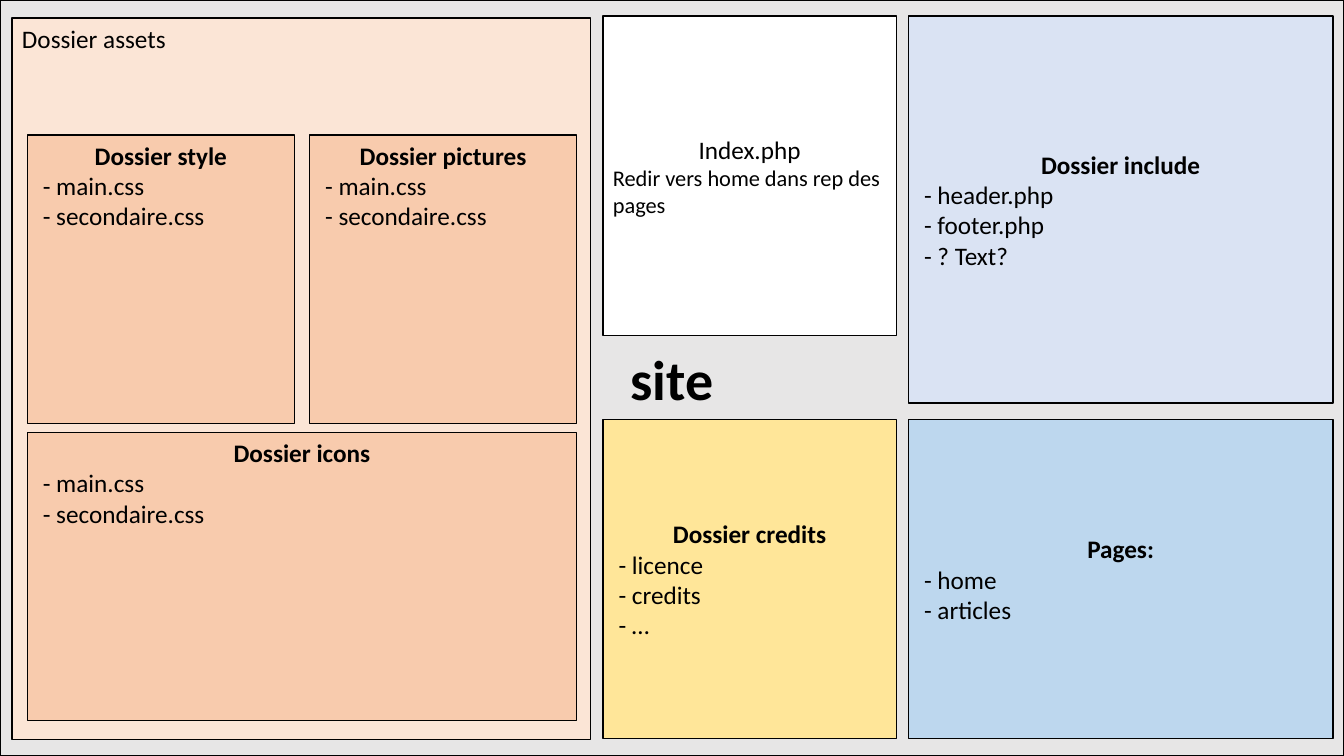
from itertools import accumulate

from pptx import Presentation
from pptx.dml.color import RGBColor
from pptx.enum.shapes import MSO_SHAPE
from pptx.enum.text import MSO_ANCHOR, PP_ALIGN
from pptx.util import Inches, Pt

RECTANGLE = MSO_SHAPE.RECTANGLE
TOP, MIDDLE = MSO_ANCHOR.TOP, MSO_ANCHOR.MIDDLE
LEFT, CENTER = PP_ALIGN.LEFT, PP_ALIGN.CENTER

THEME = {
    "font": "Calibri", "ink": "000000", "line": 1,
    "title": 40, "body": 18, "note": 16,
    "site": "E7E6E6", "index": "FFFFFF", "include": "DAE3F3",
    "assets": "FBE5D6", "credits": "FFE699", "pages": "BDD7EE",
    "folder": "F8CBAD",
}

SLIDE_WIDTH, SLIDE_HEIGHT = 13.33, 7.5
STYLESHEETS = ["main.css", "secondaire.css"]

PANELS = [
    {"column": 1, "row": "index", "fill": "index", "heading": "Index.php",
     "bold": False, "note": "Redir vers home dans rep des pages"},
    {"column": 2, "row": "include", "fill": "include", "heading": "Dossier include",
     "items": ["header.php", "footer.php", "? Text?"]},
    {"column": 0, "row": "assets", "fill": "assets", "heading": "Dossier assets",
     "bold": False, "align": LEFT, "anchor": TOP},
    {"column": 1, "row": "bottom", "fill": "credits", "heading": "Dossier credits",
     "items": ["licence", "credits", "…"]},
    {"column": 2, "row": "bottom", "fill": "pages", "heading": "Pages:",
     "items": ["home", "articles"]},
]
FOLDERS = [
    {"column": 0, "row": 0, "span": 1, "heading": "Dossier style"},
    {"column": 1, "row": 0, "span": 1, "heading": "Dossier pictures"},
    {"column": 0, "row": 1, "span": 2, "heading": "Dossier icons"},
]

GUTTER = 0.12
COLUMN_WIDTHS = [5.74, 2.91, 4.21]
COLUMN_LEFTS = list(accumulate(COLUMN_WIDTHS[:-1], lambda left, width: left + width + GUTTER,
                               initial=GUTTER))
ROWS = {"index": (0.16, 3.17), "include": (0.16, 3.84),
        "assets": (0.18, 7.16), "bottom": (4.16, 3.17)}

FOLDER_GAP, FOLDER_WIDTH = 0.15, 2.65
FOLDER_TOP, FOLDER_HEIGHT, FOLDER_ROW_GAP = 1.34, 2.86, 0.09


def write(paragraph, text, size="body", bold=False, align=LEFT):
    paragraph.alignment = align
    run = paragraph.add_run()
    run.text = text
    run.font.name = THEME["font"]
    run.font.size = Pt(THEME[size])
    run.font.bold = bold
    run.font.color.rgb = RGBColor.from_string(THEME["ink"])


def add_box(slide, left, top, width, height, fill, heading, size="body", bold=True,
            align=CENTER, anchor=MIDDLE, items=(), note=None):
    shape = slide.shapes.add_shape(RECTANGLE, *map(Inches, (left, top, width, height)))
    shape.shadow.inherit = False
    shape.fill.solid()
    shape.fill.fore_color.rgb = RGBColor.from_string(THEME[fill])
    shape.line.color.rgb = RGBColor.from_string(THEME["ink"])
    shape.line.width = Pt(THEME["line"])
    frame = shape.text_frame
    frame.word_wrap = True
    frame.vertical_anchor = anchor
    write(frame.paragraphs[0], heading, size=size, bold=bold, align=align)
    for item in items:
        write(frame.add_paragraph(), f" - {item}")
    if note:
        write(frame.add_paragraph(), note, size="note")


presentation = Presentation()
presentation.slide_width = Inches(SLIDE_WIDTH)
presentation.slide_height = Inches(SLIDE_HEIGHT)
slide = presentation.slides.add_slide(presentation.slide_layouts[6])

add_box(slide, 0, 0, SLIDE_WIDTH, SLIDE_HEIGHT, "site", "site", size="title")

for panel in PANELS:
    content = dict(panel)
    column = content.pop("column")
    top, height = ROWS[content.pop("row")]
    add_box(slide, COLUMN_LEFTS[column], top, COLUMN_WIDTHS[column], height, **content)

for folder in FOLDERS:
    left = COLUMN_LEFTS[0] + FOLDER_GAP + folder["column"] * (FOLDER_WIDTH + FOLDER_GAP)
    top = FOLDER_TOP + folder["row"] * (FOLDER_HEIGHT + FOLDER_ROW_GAP)
    width = folder["span"] * (FOLDER_WIDTH + FOLDER_GAP) - FOLDER_GAP
    add_box(slide, left, top, width, FOLDER_HEIGHT, "folder", folder["heading"],
            anchor=TOP, items=STYLESHEETS)

presentation.save("out.pptx")
